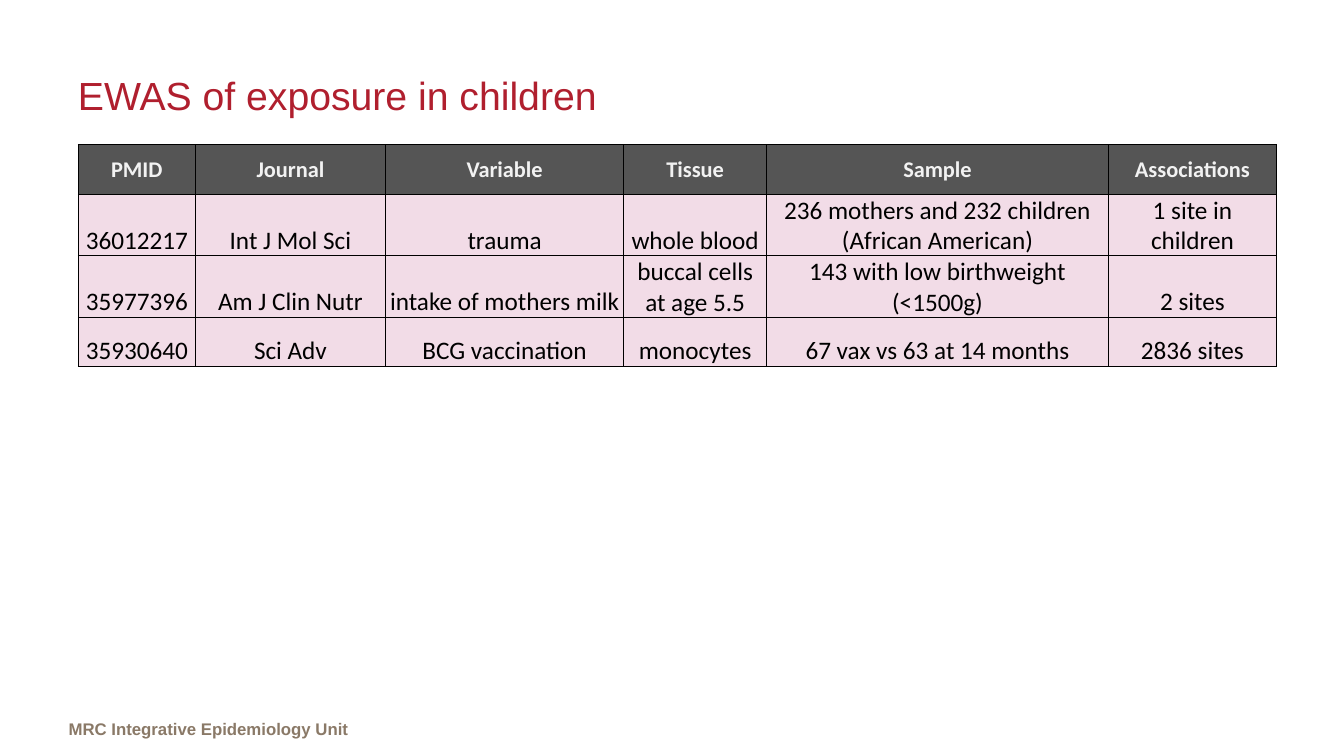
from lxml import etree
from pptx import Presentation
from pptx import util as u
from pptx.dml.color import RGBColor
from pptx.enum import text
from pptx.oxml.ns import qn

COLORS = {
    "title": "B01F2E",
    "footer": "8A7967",
    "header_fill": "0D0D0D",
    "header_text": "F2F2F2",
    "body_fill": "EDCEDE",
    "body_text": "000000",
    "border": "000000",
}
COLUMN_WIDTHS = [83.5, 136, 170, 102.2, 244, 120.3]
ROW_HEIGHT = 35.3
STUDIES = [
    ["PMID", "Journal", "Variable", "Tissue", "Sample", "Associations"],
    ["36012217", "Int J Mol Sci", "trauma", "whole blood",
     "236 mothers and 232 children (African American)", "1 site in children"],
    ["35977396", "Am J Clin Nutr", "intake of mothers milk", "buccal cells at age 5.5",
     "143 with low birthweight (<1500g)", "2 sites"],
    ["35930640", "Sci Adv", "BCG vaccination", "monocytes",
     "67 vax vs 63 at 14 months", "2836 sites"],
]


class SlideBuilder:
    def __init__(self, presentation):
        self.slide = presentation.slides.add_slide(presentation.slide_layouts[5])
        self.heading_font = "Arial"
        self.table_font = "Calibri"

    def format_paragraph(self, paragraph, font_name, size, color, bold=False,
                         align=text.PP_ALIGN.LEFT):
        paragraph.alignment = align
        font = paragraph.font
        font.name, font.size, font.bold = font_name, u.Pt(size), bold
        font.color.rgb = RGBColor.from_string(COLORS[color])

    def title(self, wording, left, top, width, height):
        shape = self.slide.shapes.title
        shape.left, shape.top = u.Pt(left), u.Pt(top)
        shape.width, shape.height = u.Pt(width), u.Pt(height)
        frame = shape.text_frame
        frame.text = wording
        frame.auto_size = text.MSO_AUTO_SIZE.NONE
        frame.vertical_anchor = text.MSO_ANCHOR.MIDDLE
        self.format_paragraph(frame.paragraphs[0], self.heading_font, 28, "title")

    def footer(self, wording, left, top, width, height):
        shape = self.slide.shapes.add_textbox(*map(u.Pt, (left, top, width, height)))
        frame = shape.text_frame
        frame.word_wrap = True
        frame.margin_left = frame.margin_right = 0
        frame.text = wording
        self.format_paragraph(frame.paragraphs[0], self.heading_font, 12, "footer", bold=True)

    def table(self, rows, left, top, widths, row_height):
        table = self.slide.shapes.add_table(
            len(rows), len(widths), u.Pt(left), u.Pt(top),
            u.Pt(sum(widths)), u.Pt(row_height * len(rows))).table
        for column, width in zip(table.columns, widths):
            column.width = u.Pt(width)
        for row_index, (row, values) in enumerate(zip(table.rows, rows)):
            row.height = u.Pt(row_height)
            for cell, value in zip(row.cells, values):
                self.cell(cell, value, header=row_index == 0)

    def cell(self, cell, value, header):
        role, size = ("header", 16) if header else ("body", 18)
        cell.text = value
        cell.margin_left = cell.margin_right = cell.margin_top = u.Pt(0.7)
        cell.margin_bottom = 0
        cell.vertical_anchor = text.MSO_ANCHOR.MIDDLE if header else text.MSO_ANCHOR.BOTTOM
        self.format_paragraph(cell.text_frame.paragraphs[0], self.table_font, size,
                              f"{role}_text", header, text.PP_ALIGN.CENTER)

        # Fill at 70% opacity
        cell.fill.solid()
        cell.fill.fore_color.rgb = RGBColor.from_string(COLORS[f"{role}_fill"])
        properties = cell._tc.get_or_add_tcPr()
        fill_color = properties.find(f"{qn('a:solidFill')}/{qn('a:srgbClr')}")
        etree.SubElement(fill_color, qn("a:alpha"), val="70000")

        # Borders come before the fill
        for index, side in enumerate(("lnL", "lnR", "lnT", "lnB")):
            line = etree.Element(qn(f"a:{side}"), w=str(u.Pt(1)))
            line_fill = etree.SubElement(line, qn("a:solidFill"))
            etree.SubElement(line_fill, qn("a:srgbClr"), val=COLORS["border"])
            properties.insert(index, line)


def main():
    presentation = Presentation()
    presentation.slide_width, presentation.slide_height = u.Pt(960), u.Pt(540)
    builder = SlideBuilder(presentation)

    # Footer and title
    builder.footer("MRC Integrative Epidemiology Unit", 49, 510, 232, 21.6)
    builder.title("EWAS of exposure in children", 48.5, 36, 856, 64)

    # Table of studies
    builder.table(STUDIES, 56, 103.5, COLUMN_WIDTHS, ROW_HEIGHT)

    presentation.save("out.pptx")


if __name__ == "__main__":
    main()
